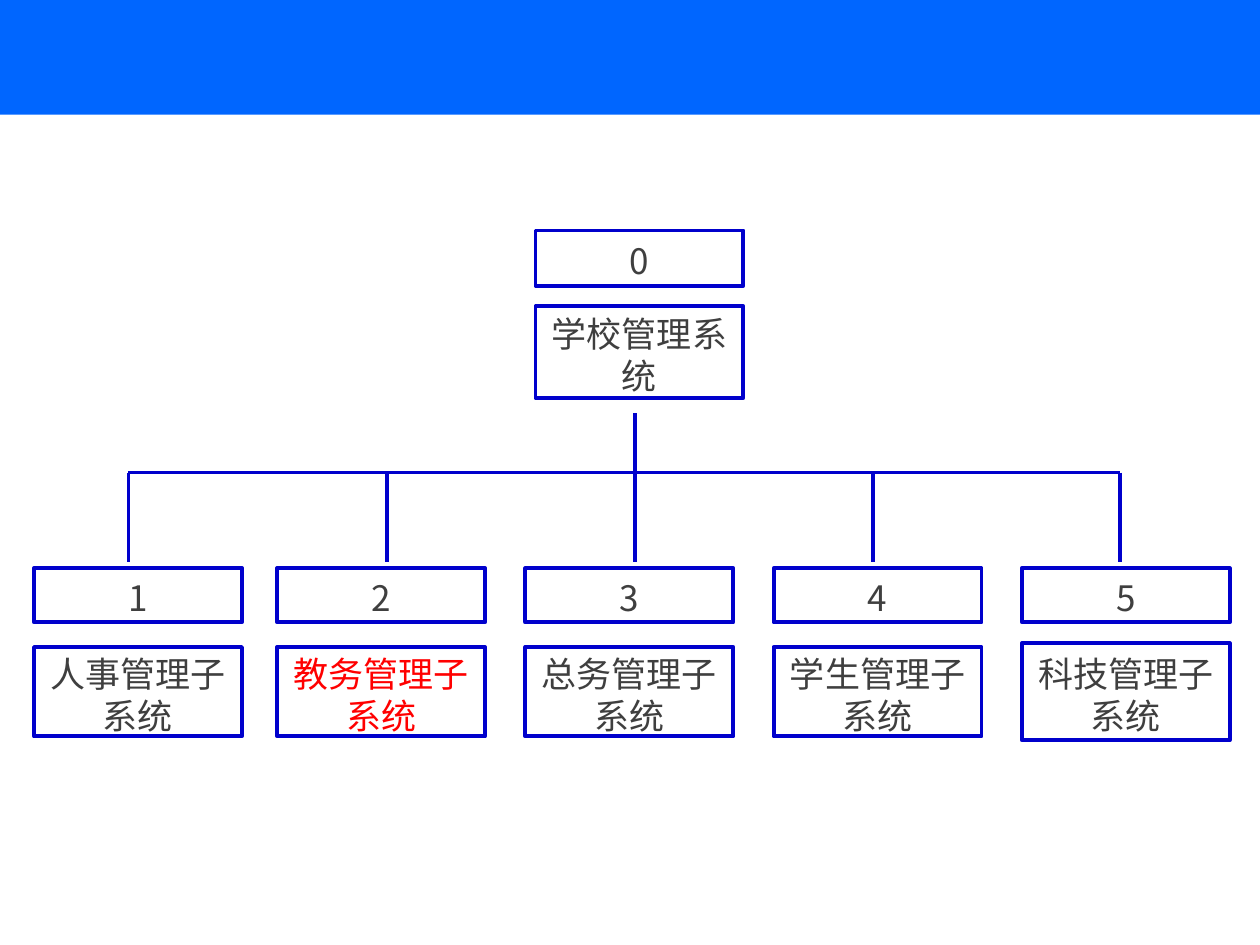
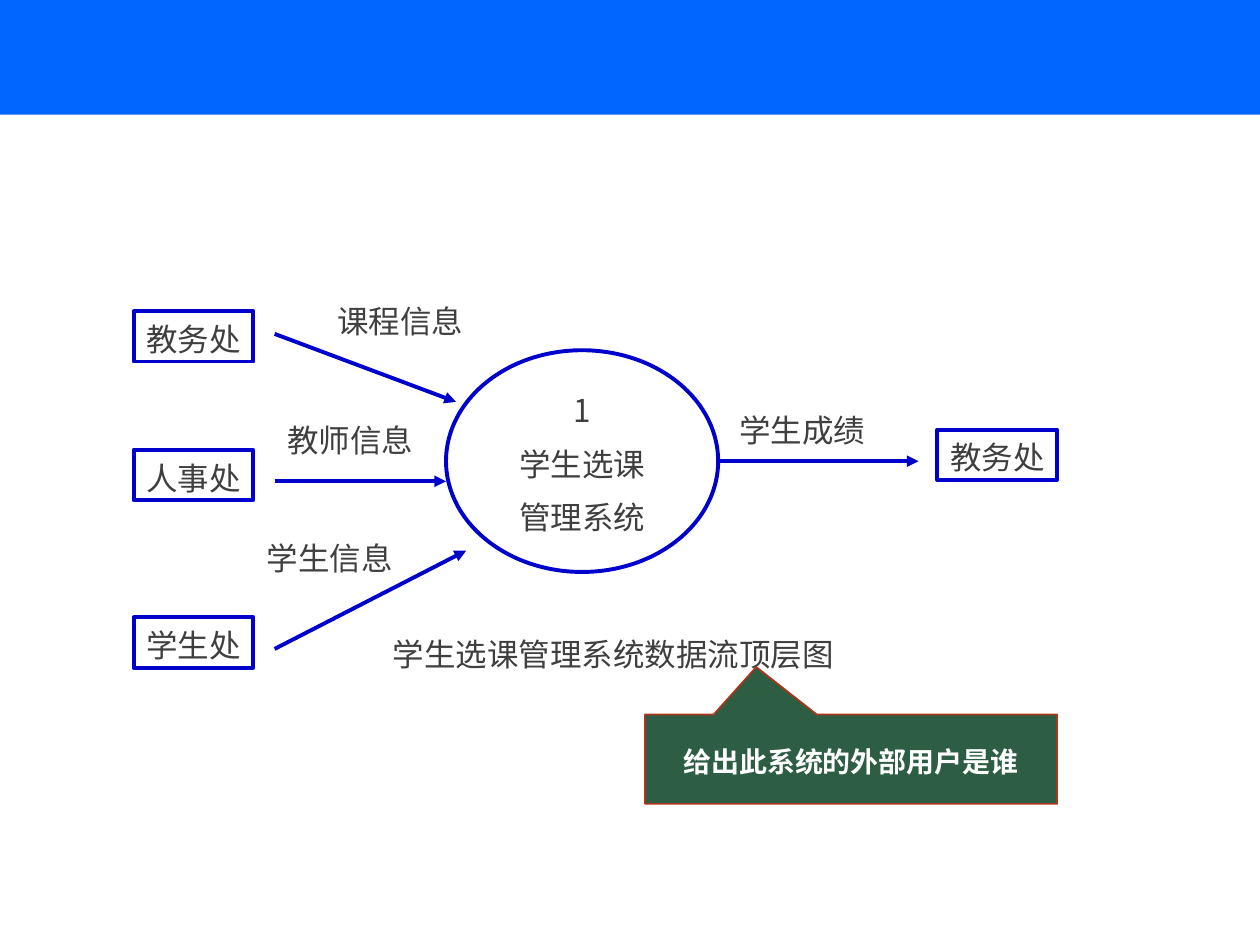
from lxml import etree
from pptx import Presentation
from pptx.dml.color import RGBColor
from pptx.enum.shapes import MSO_CONNECTOR, MSO_SHAPE
from pptx.enum.text import MSO_ANCHOR, PP_ALIGN
from pptx.oxml.ns import qn
from pptx.util import Inches, Pt

RECT, OVAL = MSO_SHAPE.RECTANGLE, MSO_SHAPE.OVAL
CALL, LINE = MSO_SHAPE.RECTANGULAR_CALLOUT, MSO_CONNECTOR.STRAIGHT
MID, TOP = MSO_ANCHOR.MIDDLE, MSO_ANCHOR.TOP
CENTER, LEFT = PP_ALIGN.CENTER, PP_ALIGN.LEFT

# Theme
THEME = {
    "band": "0066FF", "edge": "0000CC", "ink": "3F3F3F", "hot": "FF0000",
    "note": "2D5D43", "rim": "AA351A", "white": "FFFFFF",
    "cjk": "Noto Sans CJK SC", "latin": "Arial",
    "tree": 20, "flow": 18, "call": 16, "stroke": 2.25, "lead": 1.2,
}
SIZE = (10, 7.5)
BAND = (0, 0, 10.04, 0.91)
PAD = {"margin_left": 0.1, "margin_right": 0.1,
       "margin_top": 0.07, "margin_bottom": 0.03}
SNUG = {"margin_left": 0, "margin_right": 0,
        "margin_top": 0.04, "margin_bottom": 0}

# Slide 1: system tree
ROOT = ("0", "学校管理系统")
ROOT_AT = ((4.25, 1.83, 1.65, 0.44), (4.25, 2.43, 1.65, 0.73))
SUBS = [  # name, left, drop line, colour, name height
    ("人事管理子系统", 0.27, 1.02, "ink", 0.71),
    ("教务管理子系统", 2.2, 3.07, "hot", 0.71),
    ("总务管理子系统", 4.17, 5.04, "ink", 0.71),
    ("学生管理子系统", 6.14, 6.93, "ink", 0.71),
    ("科技管理子系统", 8.11, 8.89, "ink", 0.77),
]
WIDE, NUM_Y, NUM_H, NAME_MID = 1.65, 4.51, 0.43, 5.49
TRUNK_X, TRUNK_Y, BUS_Y, DROP_Y = 5.04, 3.28, 3.75, 4.46

# Slide 2: data flow
CORE = (["1", "学生选课", "管理系统"], (3.54, 2.78, 2.16, 1.76))
UNITS = [("教务处", 1.06, 2.47), ("人事处", 1.06, 3.57),
         ("学生处", 1.06, 4.9), ("教务处", 7.44, 3.41)]
UNIT_W, ROW_H = 0.95, 0.4
FLOWS = [((2.18, 2.65), (3.62, 3.19)), ((2.18, 5.15), (3.7, 4.37)),
         ((2.18, 3.82), (3.54, 3.82)), ((5.69, 3.66), (7.29, 3.66))]
LABELS = [("课程信息", 2.58, 2.33, 1.44), ("教师信息", 2.18, 3.27, 1.75),
          ("学生信息", 2.02, 4.21, 1.75), ("学生成绩", 5.77, 3.19, 1.36),
          ("学生选课管理系统数据流顶层图", 3.02, 4.97, 5.11)]
ASK = ("给出此系统的外部用户是谁", (5.12, 5.67, 3.27, 0.71), (-0.23, -1.03))


def tint(key):
    return RGBColor.from_string(THEME[key])


def write(shape, lines, size, ink="ink", align=CENTER, anchor=MID,
          pad=PAD, wrap=True, face="cjk", bold=False, lead=True):
    frame = shape.text_frame
    frame.word_wrap, frame.vertical_anchor = wrap, anchor
    for name, gap in pad.items():
        setattr(frame, name, Inches(gap))
    look = {"size": Pt(THEME[size]), "name": THEME[face], "bold": bold}
    for i, line in enumerate(lines):
        para = frame.paragraphs[0] if i == 0 else frame.add_paragraph()
        para.alignment = align
        if lead:
            para.line_spacing = Pt(THEME[size] * THEME["lead"])
        if i:
            para.space_before = Pt(THEME[size] / 2)
        run = para.add_run()
        run.text = line
        for name, value in look.items():
            setattr(run.font, name, value)
        run.font.color.rgb = tint(ink)
        # East Asian typeface
        etree.SubElement(run.font._element, qn("a:ea"), typeface=THEME["cjk"])


def draw(slide, kind, at, fill=None, edge="edge", stroke=THEME["stroke"]):
    shape = slide.shapes.add_shape(kind, *map(Inches, at))
    shape.shadow.inherit = False
    if fill:
        shape.fill.solid()
        shape.fill.fore_color.rgb = tint(fill)
    else:
        shape.fill.background()
    if edge:
        shape.line.color.rgb = tint(edge)
        shape.line.width = Pt(stroke)
    else:
        shape.line.fill.background()
    return shape


def link(slide, start, end, arrow=False):
    wire = slide.shapes.add_connector(LINE, *map(Inches, start + end))
    wire.line.color.rgb = tint("edge")
    wire.line.width = Pt(THEME["stroke"])
    if arrow:
        etree.SubElement(wire.line._get_or_add_ln(), qn("a:tailEnd"),
                         type="triangle")
    etree.SubElement(wire._element.spPr, qn("a:effectLst"))


def start(deck):
    slide = deck.slides.add_slide(deck.slide_layouts[6])
    draw(slide, RECT, BAND, fill="band", edge=None)
    return slide


def tree(deck):
    slide = start(deck)
    for text, at in zip(ROOT, ROOT_AT):
        write(draw(slide, RECT, at), [text], "tree")
    # Trunk and bus
    link(slide, (SUBS[0][2], BUS_Y), (SUBS[-1][2], BUS_Y))
    link(slide, (TRUNK_X, TRUNK_Y), (TRUNK_X, BUS_Y))
    # Branches
    for num, (name, left, drop, ink, high) in enumerate(SUBS, 1):
        link(slide, (drop, BUS_Y), (drop, DROP_Y))
        head = draw(slide, RECT, (left, NUM_Y, WIDE, NUM_H))
        write(head, [str(num)], "tree")
        body = draw(slide, RECT, (left, NAME_MID - high / 2, WIDE, high))
        write(body, [name], "tree", ink)


def flow(deck):
    slide = start(deck)
    lines, at = CORE
    write(draw(slide, OVAL, at), lines, "flow", pad=SNUG)
    for text, left, top in UNITS:
        box = draw(slide, RECT, (left, top, UNIT_W, ROW_H))
        write(box, [text], "flow", wrap=False)
    for begin, end in FLOWS:
        link(slide, begin, end, arrow=True)
    for text, left, top, wide in LABELS:
        box = slide.shapes.add_textbox(*map(Inches, (left, top, wide, ROW_H)))
        write(box, [text], "flow", align=LEFT, anchor=TOP)
    # Question callout
    text, at, tip = ASK
    note = draw(slide, CALL, at, fill="note", edge="rim", stroke=1)
    for i, value in enumerate(tip):
        note.adjustments[i] = value
    write(note, [text], "call", "white", face="latin", bold=True, lead=False)


def main():
    deck = Presentation()
    deck.slide_width, deck.slide_height = map(Inches, SIZE)
    tree(deck)
    flow(deck)
    deck.save("out.pptx")


if __name__ == "__main__":
    main()
